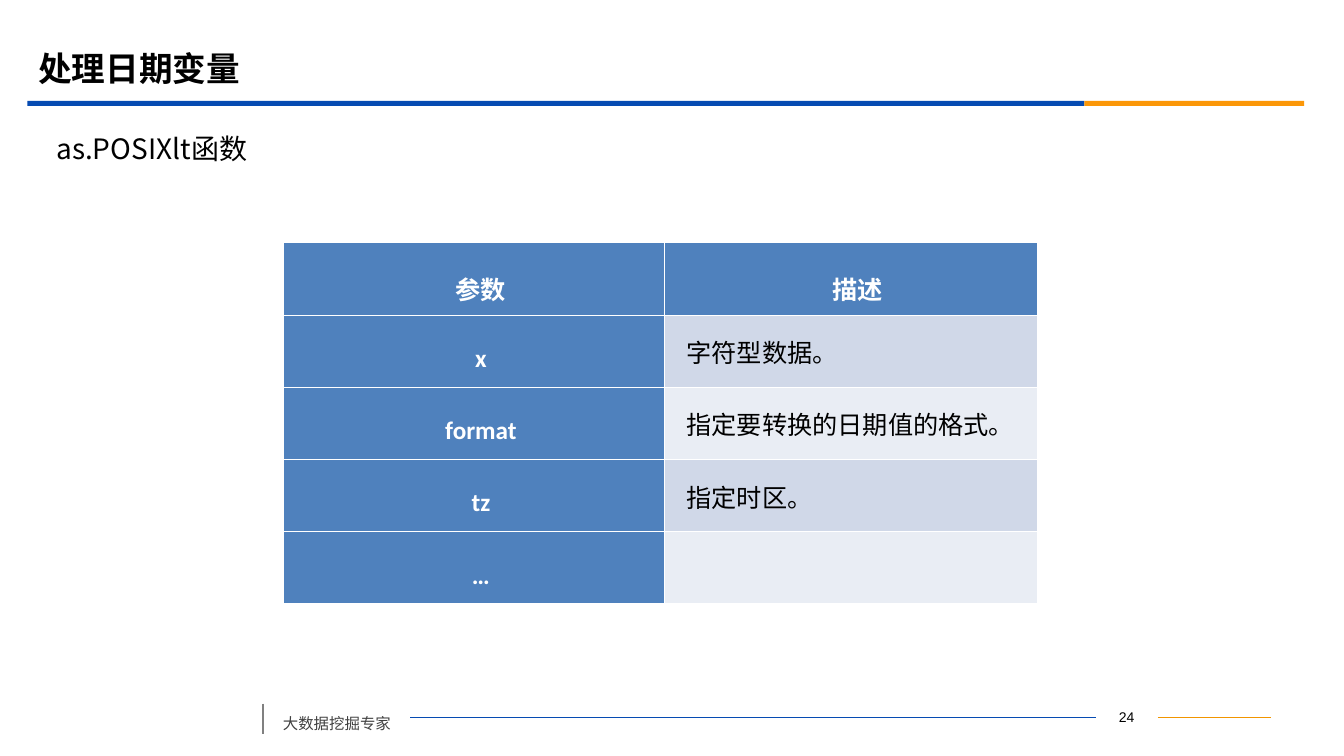
import lxml.etree
import pptx
import pptx.dml.color
import pptx.enum.shapes
import pptx.enum.text
import pptx.oxml.ns
import pptx.util

Cm = pptx.util.Cm
Pt = pptx.util.Pt
RGBColor = pptx.dml.color.RGBColor
Align = pptx.enum.text.PP_ALIGN
Anchor = pptx.enum.text.MSO_ANCHOR
qn = pptx.oxml.ns.qn

BLACK = RGBColor(0x00, 0x00, 0x00)
WHITE = RGBColor(0xFF, 0xFF, 0xFF)
BLUE = RGBColor(0x06, 0x4B, 0xB2)
ORANGE = RGBColor(0xFB, 0x97, 0x08)
DARK_ORANGE = RGBColor(0xF1, 0x95, 0x00)
GRAY = RGBColor(0x80, 0x80, 0x80)
DARK_GRAY = RGBColor(0x40, 0x40, 0x40)
HEADER_FILL = RGBColor(0x4F, 0x81, 0xBD)
BAND_FILLS = (RGBColor(0xD0, 0xD8, 0xE8), RGBColor(0xE9, 0xED, 0xF4))

CJK_FONT = "Noto Sans CJK SC"
PARAMETERS = (
    ("参数", "描述"),
    ("x", "字符型数据。"),
    ("format", "指定要转换的日期值的格式。"),
    ("tz", "指定时区。"),
    ("…", ""),
)


def write_text(frame, text, size, color, font=CJK_FONT, bold=False, align=Align.LEFT):
    para = frame.paragraphs[0]
    para.text = text
    para.alignment = align
    para.font.size = Pt(size)
    para.font.bold = bold
    para.font.color.rgb = color
    para.font.name = font
    if font == CJK_FONT:
        defaults = para._p.pPr.find(qn("a:defRPr"))
        lxml.etree.SubElement(defaults, qn("a:ea"), typeface=font)
    return para


def add_text(page, left, top, width, height, text, size, color, anchor=Anchor.MIDDLE, **style):
    box = page.shapes.add_textbox(Cm(left), Cm(top), Cm(width), Cm(height))
    box.text_frame.word_wrap = True
    box.text_frame.vertical_anchor = anchor
    return box, write_text(box.text_frame, text, size, color, **style)


def add_bar(page, left, width, color):
    bar = page.shapes.add_shape(
        pptx.enum.shapes.MSO_SHAPE.RECTANGLE, Cm(left), Cm(2.54), Cm(width), Cm(0.13)
    )
    bar.shadow.inherit = False
    bar.fill.solid()
    bar.fill.fore_color.rgb = color
    bar.line.fill.background()


def add_line(page, start, end, color, width):
    line = page.shapes.add_connector(
        pptx.enum.shapes.MSO_CONNECTOR.STRAIGHT, *(Cm(value) for value in start + end)
    )
    line.line.color.rgb = color
    line.line.width = Pt(width)
    lxml.etree.SubElement(line._element.spPr, qn("a:effectLst"))
    return line


def fill_cell(cell, text, fill, heading):
    cell.fill.solid()
    cell.fill.fore_color.rgb = fill
    cell.margin_left = cell.margin_right = Cm(0.2)
    cell.margin_top = cell.margin_bottom = 0
    cell.vertical_anchor = Anchor.MIDDLE if heading else Anchor.TOP
    para = write_text(
        cell.text_frame, text, 18, WHITE if heading else BLACK,
        font="Calibri", bold=heading, align=Align.CENTER if heading else Align.JUSTIFY,
    )
    para.line_spacing = 1.5
    para._p.pPr.set("marL", "0")
    para._p.pPr.set("indent", str(Cm(0.36)))


def add_parameter_table(page):
    widths = (Cm(9.6), Cm(9.4))
    row_height = Cm(1.82)
    table = page.shapes.add_table(
        len(PARAMETERS), len(widths), Cm(7.14), Cm(6.12),
        sum(widths), row_height * len(PARAMETERS),
    ).table
    table.first_col = True
    for column, width in zip(table.columns, widths):
        column.width = width
    for row, texts in enumerate(PARAMETERS):
        table.rows[row].height = row_height
        for column, text in enumerate(texts):
            heading = row == 0 or column == 0
            fill = HEADER_FILL if heading else BAND_FILLS[(row - 1) % 2]
            fill_cell(table.cell(row, column), text, fill, heading)


def add_title(page, text):
    title = page.shapes.title
    title.left, title.top, title.width, title.height = Cm(0.71), Cm(0.99), Cm(30.48), Cm(1.47)
    title.text_frame.vertical_anchor = Anchor.MIDDLE
    write_text(title.text_frame, text, 24, BLACK, bold=True)


def add_footer(page):
    number, _ = add_text(
        page, 27.61, 17.75, 1.57, 0.64, "24", 10, BLACK, font="Arial", align=Align.CENTER
    )
    right_rule = add_line(page, (29.18, 18.07), (32.03, 18.07), DARK_ORANGE, 0.75)
    right_rule.begin_connect(number, 3)
    left_rule = add_line(page, (10.34, 18.07), (27.61, 18.07), BLUE, 0.75)
    left_rule.end_connect(number, 1)
    _, slogan = add_text(
        page, 6.88, 17.63, 3.45, 0.97, "大数据挖掘专家", 11, DARK_GRAY, anchor=Anchor.TOP
    )
    slogan.line_spacing = 1.5
    slogan.space_before = Pt(6)
    add_line(page, (6.63, 17.73), (6.63, 18.49), GRAY, 1.25)


def main():
    deck = pptx.Presentation()
    deck.slide_width, deck.slide_height = Cm(33.87), Cm(19.05)
    page = deck.slides.add_slide(deck.slide_layouts.get_by_name("Title Only"))
    add_footer(page)
    add_bar(page, 0.69, 26.64, BLUE)
    add_bar(page, 27.33, 5.54, ORANGE)
    add_parameter_table(page)
    add_title(page, "处理日期变量")
    _, subtitle = add_text(page, 1.17, 3.15, 30.86, 1.19, "as.POSIXlt函数", 20, BLACK)
    subtitle.space_before = Pt(4)
    deck.save("out.pptx")


if __name__ == "__main__":
    main()
